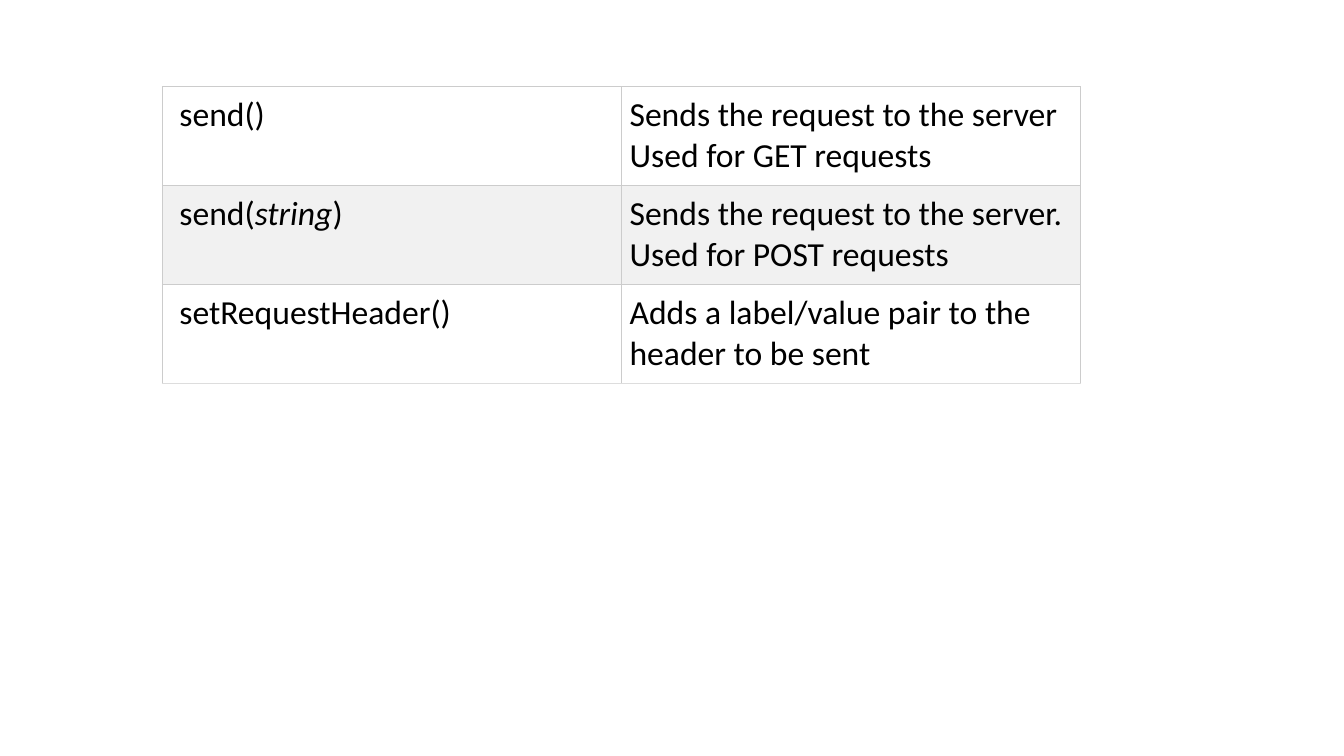
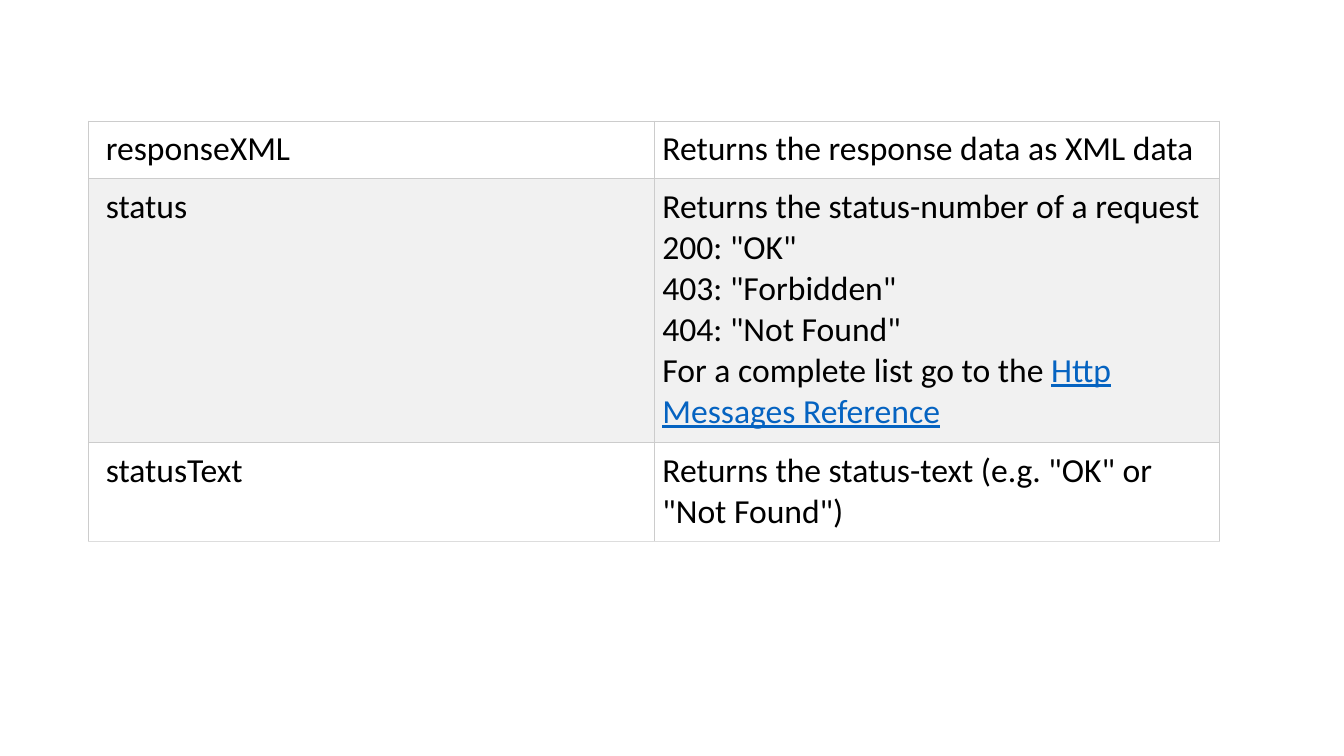
from dataclasses import dataclass, field

from lxml.etree import SubElement
from pptx import Presentation
from pptx.dml.color import RGBColor
from pptx.oxml.ns import qn
from pptx.presentation import Presentation as Deck
from pptx.table import _Cell as Cell
from pptx.util import Inches, Pt


@dataclass(frozen=True)
class Theme:
    font: str = "Calibri"
    text_size: float = 24
    border_width: float = 0.75
    text: str = "000000"
    link: str = "0563C1"
    plain_row: str = "FFFFFF"
    shaded_row: str = "F1F1F1"
    border: str = "CCCCCC"
    last_border: str = "DDDDDD"
    margin: float = 0.08
    first_margin: float = 0.17
    line_height: float = 0.41


THEME = Theme()


@dataclass(frozen=True)
class Span:
    text: str
    color: str = THEME.text
    styles: dict[str, bool] = field(default_factory=dict)


@dataclass(frozen=True)
class Entry:
    name: list[Span]
    description: list[Span]
    line_count: int


@dataclass(frozen=True)
class Page:
    left: float
    top: float
    width: float
    entries: list[Entry]


PAGES = [
    Page(1.61, 0.86, 9.11, [
        Entry(
            [Span("send()")],
            [Span("Sends the request to the server\nUsed for GET requests")],
            2,
        ),
        Entry(
            [Span("send("), Span("string", styles={"italic": True}), Span(")")],
            [Span("Sends the request to the server.\nUsed for POST requests")],
            2,
        ),
        Entry(
            [Span("setRequestHeader()")],
            [Span("Adds a label/value pair to the header to be sent")],
            2,
        ),
    ]),
    Page(0.88, 1.2, 11.22, [
        Entry(
            [Span("responseXML")],
            [Span("Returns the response data as XML data")],
            1,
        ),
        Entry(
            [Span("status")],
            [
                Span(
                    "Returns the status-number of a request\n"
                    '200: "OK"\n403: "Forbidden"\n404: "Not Found"\n'
                    "For a complete list go to the "
                ),
                Span("Http Messages Reference", THEME.link, {"underline": True}),
            ],
            6,
        ),
        Entry(
            [Span("statusText")],
            [Span('Returns the status-text (e.g. "OK" or "Not Found")')],
            2,
        ),
    ]),
]


def write_spans(cell: Cell, spans: list[Span]) -> None:
    para = cell.text_frame.paragraphs[0]
    for span in spans:
        for index, line in enumerate(span.text.split("\n")):
            if index:
                para.add_line_break()
            run = para.add_run()
            run.text = line
            formats = {"name": THEME.font, "size": Pt(THEME.text_size), **span.styles}
            for attribute, value in formats.items():
                setattr(run.font, attribute, value)
            run.font.color.rgb = RGBColor.from_string(span.color)


def draw_borders(cell: Cell, bottom_color: str) -> None:
    properties = cell._tc.get_or_add_tcPr()
    colors = dict.fromkeys(("a:lnL", "a:lnR", "a:lnT"), THEME.border)
    colors["a:lnB"] = bottom_color
    for side, color in colors.items():
        line = SubElement(properties, qn(side), w=str(Pt(THEME.border_width)))
        fill = SubElement(line, qn("a:solidFill"))
        SubElement(fill, qn("a:srgbClr"), val=color)


def style_cell(cell: Cell, left_margin: float, fill: str, bottom_color: str) -> None:
    formats = {
        "margin_left": Inches(left_margin),
        "margin_right": Inches(THEME.margin),
        "margin_top": Inches(THEME.margin),
        "margin_bottom": Inches(THEME.margin),
    }
    for attribute, value in formats.items():
        setattr(cell, attribute, value)
    draw_borders(cell, bottom_color)
    cell.fill.solid()
    cell.fill.fore_color.rgb = RGBColor.from_string(fill)


def add_page(deck: Deck, page: Page) -> None:
    slide = deck.slides.add_slide(deck.slide_layouts[6])
    heights = [
        entry.line_count * THEME.line_height + 2 * THEME.margin
        for entry in page.entries
    ]
    table = slide.shapes.add_table(
        len(page.entries), 2,
        Inches(page.left), Inches(page.top), Inches(page.width), Inches(sum(heights)),
    ).table
    table.first_row = False
    table.horz_banding = False
    for index, (entry, height) in enumerate(zip(page.entries, heights)):
        table.rows[index].height = Inches(height)
        fill = THEME.shaded_row if index % 2 else THEME.plain_row
        is_last = index == len(page.entries) - 1
        bottom_color = THEME.last_border if is_last else THEME.border
        columns = (
            (entry.name, THEME.first_margin),
            (entry.description, THEME.margin),
        )
        for column, (spans, left_margin) in enumerate(columns):
            cell = table.cell(index, column)
            style_cell(cell, left_margin, fill, bottom_color)
            write_spans(cell, spans)


def main() -> None:
    deck = Presentation()
    deck.slide_width = Inches(13.33)
    deck.slide_height = Inches(7.5)
    for page in PAGES:
        add_page(deck, page)
    deck.save("out.pptx")


if __name__ == "__main__":
    main()
